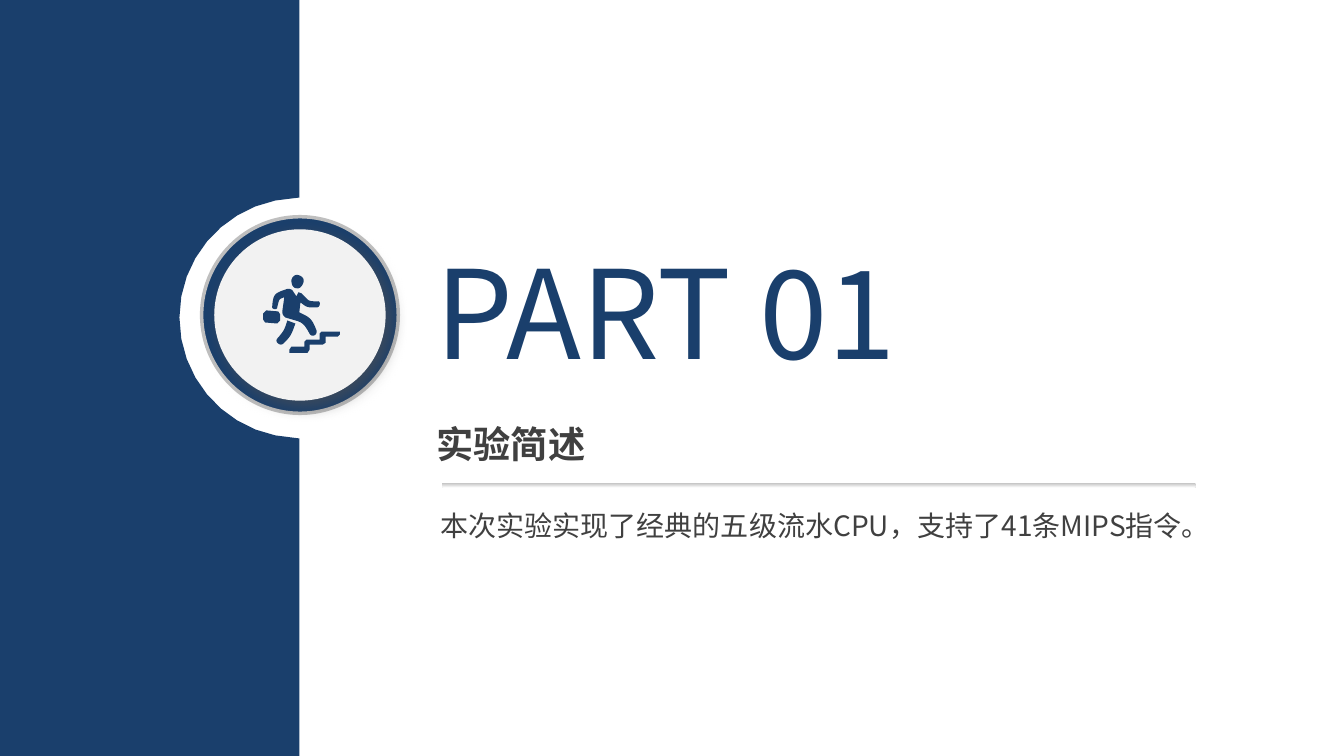
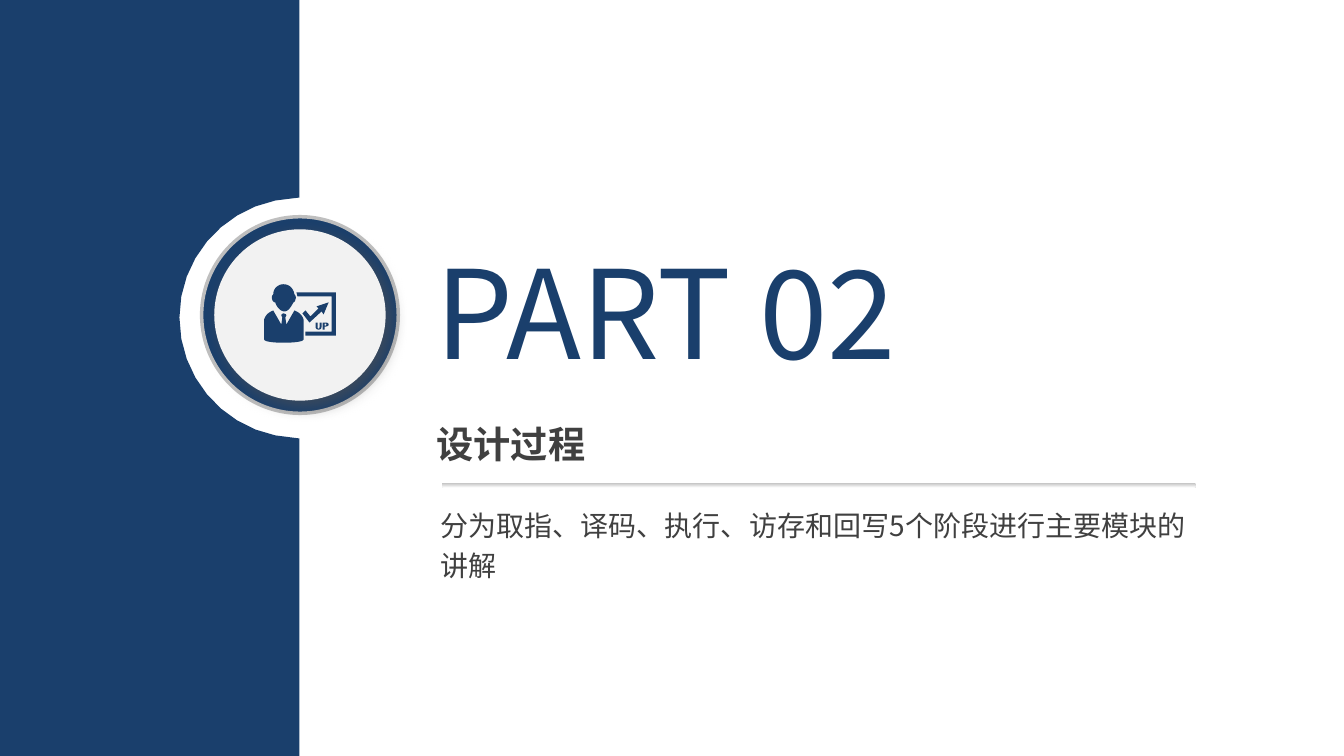
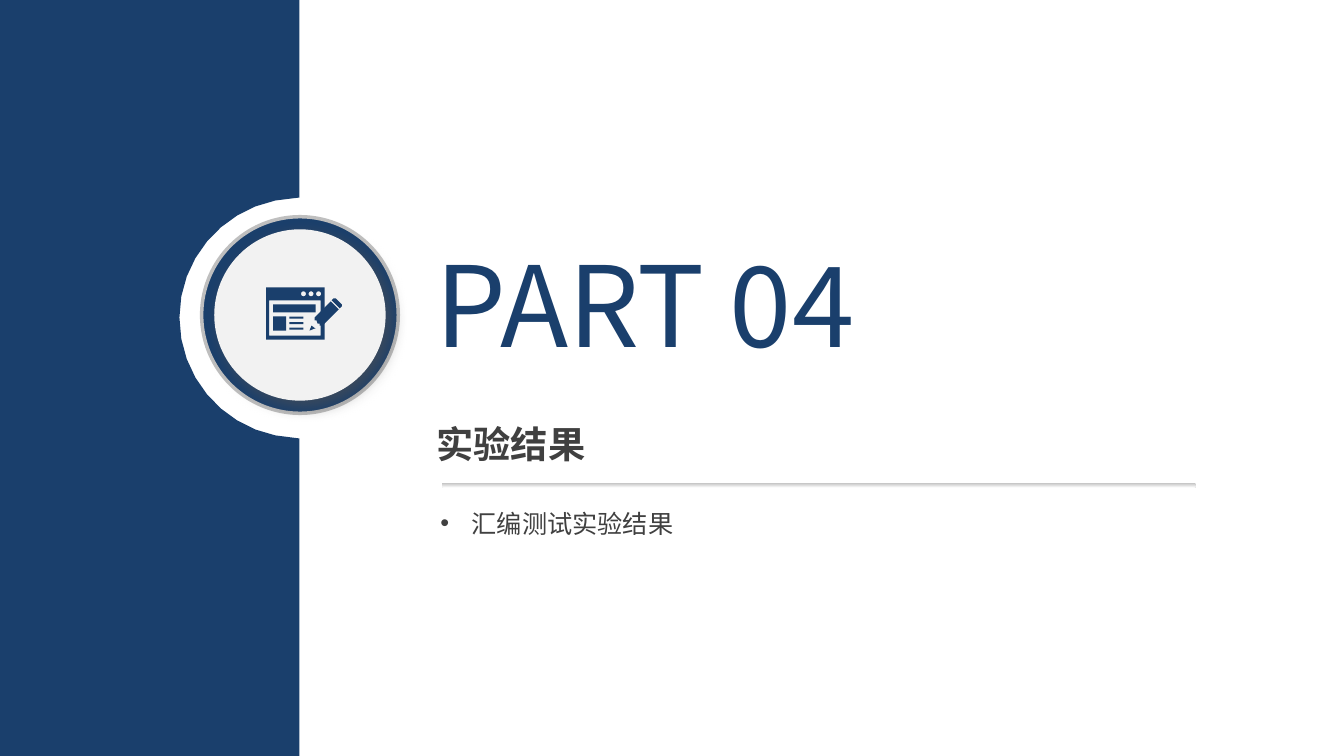
from math import cos, pi, sin

from lxml import etree
from pptx import Presentation
from pptx.dml.color import RGBColor
from pptx.enum.shapes import MSO_SHAPE
from pptx.enum.text import MSO_ANCHOR, MSO_AUTO_SIZE, PP_ALIGN
from pptx.oxml.ns import qn
from pptx.util import Inches, Pt

NAVY = RGBColor(0x1A, 0x3F, 0x6C)
INK = RGBColor(0x40, 0x40, 0x40)
SILVER = RGBColor(0xBF, 0xBF, 0xBF)
PALE = RGBColor(0xF2, 0xF2, 0xF2)
WHITE = RGBColor(0xFF, 0xFF, 0xFF)
SHADE = RGBColor(0x52, 0x52, 0x52)
FONT = "Noto Sans CJK SC"

OVAL, RECT, ROUNDED = MSO_SHAPE.OVAL, MSO_SHAPE.RECTANGLE, MSO_SHAPE.ROUNDED_RECTANGLE
TOP, LEFT, NO_FIT = MSO_ANCHOR.TOP, PP_ALIGN.LEFT, MSO_AUTO_SIZE.NONE

CELL = Inches(0.01)
COLS, ROWS = 1333, 750
BAND_W = 297
BADGE = (297.5, 312.5)
TITLE_ONLY = 5


def disc(cx, cy, r, n=16):
    """Return the corners of a round outline."""
    return [(cx + r * cos(2 * pi * i / n), cy + r * sin(2 * pi * i / n)) for i in range(n)]


def box(x1, y1, x2, y2):
    """Return the corners of a rectangular outline."""
    return [(x1, y1), (x2, y1), (x2, y2), (x1, y2)]


BAND = [(0, 0), (BAND_W, 0), (BAND_W, 196), (273, 199), (219, 210, 178, 258, 178, 315),
        (178, 373, 219, 421, 273, 432), (BAND_W, 435), (BAND_W, ROWS), (0, ROWS)]

STAIRS = [[(289, 344), (302, 344), (302, 339), (304, 337), (317, 337), (317, 331),
           (319, 329), (337, 329), (337, 332), (335, 334), (323, 334), (323, 340),
           (320, 342), (307, 342), (307, 347), (305, 350), (287, 350), (287, 347)]]
RUNNER = [
    [(263, 320), (275, 321), (278, 318), (278, 312), (276, 309), (264, 308), (261, 311),
     (261, 317)],
    [(275, 336), (281, 329, 282, 328, 285, 318), (293, 321),
     (289, 332, 289, 333, 281, 341), (278, 344, 272, 339, 275, 336)],
    [(296, 273), (300, 274, 302, 277, 301, 280), (300, 284, 297, 287, 294, 286),
     (290, 286, 289, 281, 289, 278), (290, 274, 293, 272, 296, 273)],
    [(296, 290), (299, 291), (307, 299, 305, 299, 315, 299), (318, 298, 318, 304, 315, 305),
     (306, 305, 305, 306, 298, 300), (297, 309), (297, 310),
     (307, 315, 309, 315, 314, 328), (315, 333, 309, 335, 307, 331),
     (300, 318, 299, 320, 283, 315), (281, 313, 280, 312, 280, 309), (282, 295),
     (276, 297, 277, 297, 275, 305), (275, 308, 269, 307, 270, 304),
     (271, 292, 272, 291, 284, 287), (286, 286, 289, 287, 290, 288), (294, 294)]]

BOARD = [[(294, 290), (295, 294), (329, 294), (329, 329), (303, 329), (303, 333),
          (333, 333), (333, 290)]]
HEAD = [[(273, 300), (274, 304, 278, 309, 282, 309), (286, 309, 289, 304, 291, 300),
         (292, 300, 293, 298, 293, 297), (294, 295, 293, 293, 292, 292),
         (291, 286, 287, 282, 281, 282), (276, 282, 271, 286, 271, 292),
         (270, 293, 269, 295, 270, 297), (270, 298, 271, 300, 273, 300)]]
TREND = [[(303, 308), (300, 311), (307, 320), (319, 309), (321, 312), (326, 300),
          (314, 304), (316, 306), (308, 314)]]
SUIT = [[(292, 308), (284, 322), (283, 315), (284, 313), (284, 312, 283, 311, 281, 311),
         (280, 311, 279, 312, 279, 313), (280, 315), (279, 322), (271, 308),
         (266, 310, 263, 313, 262, 317), (262, 337), (263, 339, 271, 340, 281, 340),
         (292, 340, 300, 339, 301, 337), (301, 317), (300, 313, 297, 310, 292, 308)]]
LETTER_U = [[(313, 320), (313, 324), (313, 326, 314, 327, 316, 327),
             (318, 327, 319, 326, 319, 324), (319, 320), (317, 320), (317, 324),
             (317, 325, 317, 326, 316, 326), (315, 326, 315, 325, 315, 324), (315, 320)]]
LETTER_P = [[(320, 320), (320, 327), (322, 327), (322, 324), (323, 324),
             (325, 324, 326, 323, 326, 322), (326, 321, 325, 320, 323, 320)],
            [(322, 321), (322, 323), (323, 323), (324, 323, 324, 321, 323, 321)]]

WINDOW = [box(264, 285, 322, 337), box(267, 298, 318, 333),
          *[disc(301 + 7.5 * i, 291.5, 2.5) for i in range(3)]]
PEN_TIP = [[(309, 323), (307, 328), (312, 326), (313, 326)]]
PEN_END = [[(337, 306), (339, 304), (339, 302), (333, 296), (331, 296), (329, 298)]]
PEN = [[(328, 299), (312, 315), (312, 318), (314, 318), (315, 321), (317, 321), (317, 323),
        (320, 323), (336, 307)]]
PAGE_BARS = [(271, 302, 42, 8), (271, 314, 13, 14),
             *[(287, 314 + 5.5 * i, 14, 2) for i in range(3)]]

SECTIONS = [
    ("PART 01", 88, "实验简述", "本次实验实现了经典的五级流水CPU，支持了41条MIPS指令。", 20, False,
     [STAIRS, RUNNER], []),
    ("PART 02", 88, "设计过程", "分为取指、译码、执行、访存和回写5个阶段进行主要模块的讲解", 20, False,
     [BOARD, HEAD, TREND, SUIT, LETTER_U, LETTER_P], []),
    ("PART 04", 80, "实验结果", "汇编测试实验结果", 18, True,
     [WINDOW, PEN_TIP, PEN_END, PEN], PAGE_BARS),
]


class Deck:
    """Holds the style, the presentation and the current slide."""

    def __init__(self):
        self.prs = Presentation()
        self.prs.slide_width, self.prs.slide_height = COLS * CELL, ROWS * CELL

    def new_slide(self):
        self.s = self.prs.slides.add_slide(self.prs.slide_layouts[TITLE_ONLY])

    def grid(self, *cells):
        return [round(c * CELL) for c in cells]

    def shape(self, kind, cells, color, line=None):
        sp = self.s.shapes.add_shape(kind, *self.grid(*cells))
        return self.paint(sp, color, line)

    def paint(self, sp, color, line=None):
        sp.shadow.inherit = False
        sp.fill.solid()
        sp.fill.fore_color.rgb = color
        if line is None:
            sp.line.fill.background()
        else:
            sp.line.color.rgb = line
            sp.line.width = Pt(2.5)
        return sp

    def trace(self, outline, steps=8):
        points = []
        for node in outline:
            if len(node) == 2:
                points.append(node)
                continue
            x0, y0 = points[-1]
            x1, y1, x2, y2, x3, y3 = node
            for i in range(1, steps + 1):
                t = i / steps
                u = 1 - t
                a, b, c, d = u ** 3, 3 * u * u * t, 3 * u * t * t, t ** 3
                points.append((a * x0 + b * x1 + c * x2 + d * x3,
                               a * y0 + b * y1 + c * y2 + d * y3))
        return [self.grid(*point) for point in points]

    def freeform(self, outlines, color):
        traced = [self.trace(outline) for outline in outlines]
        builder = self.s.shapes.build_freeform(*traced[0][0], scale=1.0)
        for i, points in enumerate(traced):
            if i:
                builder.move_to(*points[0])
            builder.add_line_segments(points[1:], close=True)
        return self.paint(builder.convert_to_shape(), color)

    def circle(self, r, color, line=None):
        cx, cy = BADGE
        return self.shape(OVAL, (cx - r, cy - r, 2 * r, 2 * r), color, line)

    def cast_shadow(self, sp):
        effects = sp._element.spPr.find(qn("a:effectLst"))
        shadow = etree.SubElement(effects, qn("a:outerShdw"), blurRad=str(Pt(12)),
                                  dist=str(Pt(5)), dir="2700000", algn="tl", rotWithShape="0")
        color = etree.SubElement(shadow, qn("a:srgbClr"), val=str(SHADE))
        etree.SubElement(color, qn("a:alpha"), val="64000")

    def badge(self):
        plate = self.circle(130.5, WHITE)
        ring = self.circle(97.5, NAVY, SILVER)
        face = self.circle(85, PALE)
        self.cast_shadow(face)
        self.s.shapes.add_group_shape([plate, ring, face])

    def icon(self, drawings, bars):
        parts = [self.freeform(outlines, NAVY) for outlines in drawings]
        parts += [self.shape(RECT, bar, NAVY) for bar in bars]
        self.s.shapes.add_group_shape(parts)

    def rule(self):
        sp = self.shape(ROUNDED, (438, 479, 748, 5), SILVER)
        sp.adjustments[0] = 0.5
        sp.fill.gradient()
        sp.fill.gradient_angle = 270
        for stop, color in zip(sp.fill.gradient_stops, (SILVER, WHITE)):
            stop.color.rgb = color

    def add_text(self, sp, text, size, color, bold=False, spacing=1.0):
        tf = sp.text_frame
        tf.word_wrap, tf.auto_size, tf.vertical_anchor = True, NO_FIT, TOP
        p = tf.paragraphs[0]
        p.alignment, p.line_spacing = LEFT, spacing
        r = p.add_run()
        r.text = text
        r.font.size, r.font.bold, r.font.name = Pt(size), bold, FONT
        r.font.color.rgb = color
        etree.SubElement(r._r.get_or_add_rPr(), qn("a:ea"), typeface=FONT)
        return p

    def title(self, text, size):
        sp = self.s.shapes.title
        sp.left, sp.top, sp.width, sp.height = self.grid(422, 229, 594, 158)
        self.add_text(sp, text, size, NAVY)

    def text_box(self, cells, text, size, bold=False, spacing=1.0, bullet=False):
        sp = self.s.shapes.add_textbox(*self.grid(*cells))
        p = self.add_text(sp, text, size, INK, bold, spacing)
        if bullet:
            pPr = p._p.get_or_add_pPr()
            indent = 31 * CELL
            pPr.set("marL", str(indent))
            pPr.set("indent", str(-indent))
            etree.SubElement(pPr, qn("a:buFont"), typeface="Arial")
            etree.SubElement(pPr, qn("a:buChar"), char="•")

    def section(self, part, part_size, heading, body, body_size, bullet, drawings, bars):
        self.new_slide()
        self.badge()
        self.freeform([BAND], NAVY)
        self.rule()
        self.title(part, part_size)
        self.text_box((423, 413, 363, 55), heading, 26.6, bold=True)
        self.text_box((427, 493, 759, 91), body, body_size, spacing=1.2, bullet=bullet)
        self.icon(drawings, bars)


def main():
    deck = Deck()
    for section in SECTIONS:
        deck.section(*section)
    deck.prs.save("out.pptx")


if __name__ == "__main__":
    main()
